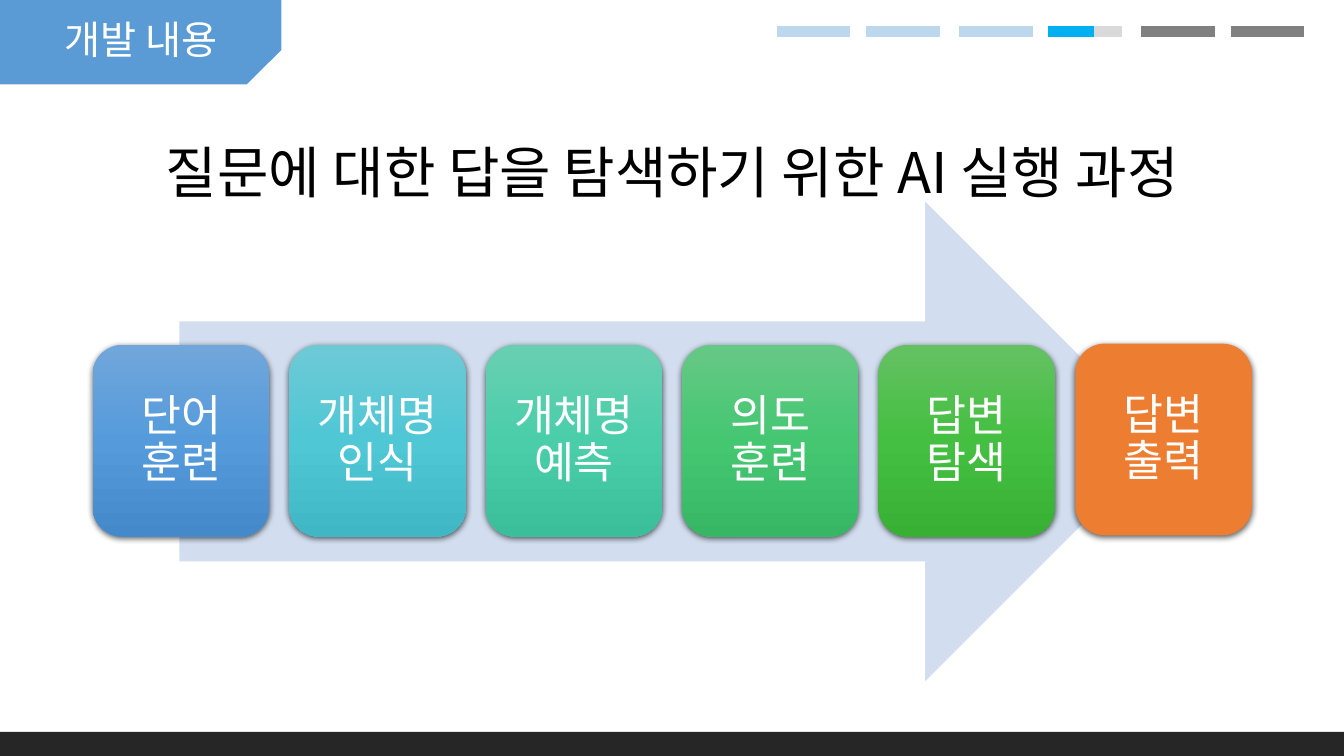
"""Build the slide on the AI steps that find an answer to a question."""
import copy

import lxml.etree
import pptx
import pptx.dml.color
import pptx.enum.shapes
import pptx.enum.text
import pptx.oxml.ns
import pptx.util

Cm = pptx.util.Cm
Pt = pptx.util.Pt
qn = pptx.oxml.ns.qn
SHAPES = pptx.enum.shapes.MSO_SHAPE
FONT = "Noto Sans CJK KR"
WHITE = "FFFFFF"
STEPS = [
    ("단어 훈련", ["71A6DB", "559BDB", "448ACA"]),
    ("개체명 인식", ["6DCAD5", "4FC7D5", "3FB7C4"]),
    ("개체명 예측", ["69CFB1", "4ACEAA", "3BBE9A"]),
    ("의도 훈련", ["66C885", "45C772", "37B764"]),
    ("답변 탐색", ["64C162", "44BF41", "37B034"]),
]
PROGRESS = ["BDD7EE", "BDD7EE", "BDD7EE", "D9D9D9", "808080", "808080"]


def rgb(value):
    """Return the colour for a hex string."""
    return pptx.dml.color.RGBColor.from_string(value)


def write(frame, text, size, color, spacing=None):
    """Put one centred paragraph into a text frame."""
    para = frame.paragraphs[0]
    para.text = text
    para.alignment = pptx.enum.text.PP_ALIGN.CENTER
    para.line_spacing = spacing
    para.font.size = Pt(size)
    para.font.color.rgb = rgb(color)
    para.font.name = FONT
    properties = para._p.pPr.find(qn("a:defRPr"))
    lxml.etree.SubElement(properties, qn("a:ea"), typeface=FONT)


def add_block(slide, kind, left, top, width, height, color):
    """Add a plain preset shape without outline or shadow."""
    block = slide.shapes.add_shape(kind, Cm(left), Cm(top), Cm(width), Cm(height))
    block.shadow.inherit = False
    block.line.fill.background()
    block.fill.solid()
    block.fill.fore_color.rgb = rgb(color)
    return block


def add_bar(slide, left, width, color):
    """Add one thick segment of the progress line."""
    bar = slide.shapes.add_connector(
        pptx.enum.shapes.MSO_CONNECTOR.STRAIGHT,
        Cm(left), Cm(0.79), Cm(left + width), Cm(0.79))
    bar.line.color.rgb = rgb(color)
    bar.line.width = Pt(8.25)
    lxml.etree.SubElement(bar.element.spPr, qn("a:effectLst"))


def add_shadow(shape):
    """Give a shape a soft shadow below it."""
    effects = shape.element.spPr.find(qn("a:effectLst"))
    shadow = lxml.etree.SubElement(
        effects, qn("a:outerShdw"), blurRad=str(Pt(4.5)), dist=str(Pt(1.5)),
        dir="5400000", algn="ctr", rotWithShape="0")
    black = lxml.etree.SubElement(shadow, qn("a:srgbClr"), val="000000")
    lxml.etree.SubElement(black, qn("a:alpha"), val="63000")


def fill_gradient(shape, colors):
    """Fill a shape from top to bottom with three colours."""
    shape.fill.gradient()
    shape.fill.gradient_angle = 270
    stops = shape.element.spPr.find(qn("a:gradFill")).find(qn("a:gsLst"))
    stops.insert(1, copy.deepcopy(stops[0]))
    for index, (stop, color) in enumerate(zip(shape.fill.gradient_stops, colors)):
        stop.position = index / 2
        stop.color.rgb = rgb(color)


def add_step(slide, left, top, text, color):
    """Add one rounded step tile with its label."""
    tile = add_block(slide, SHAPES.ROUNDED_RECTANGLE, left, top, 4.45, 4.83, color)
    add_shadow(tile)
    frame = tile.text_frame
    frame.word_wrap = True
    frame.vertical_anchor = pptx.enum.text.MSO_ANCHOR.MIDDLE
    frame.margin_left = frame.margin_right = Cm(0.33)
    frame.margin_top = frame.margin_bottom = Cm(0.33)
    write(frame, text, 31, WHITE, 0.9)
    return tile


def add_header(slide):
    """Add the section tab, the footer band and the progress line."""
    tab = add_block(slide, SHAPES.SNIP_1_RECTANGLE, 0, 0, 7.09, 2.13, "5B9BD5")
    tab.adjustments[0] = 0.408
    tab.element.spPr.find(qn("a:xfrm")).set("flipV", "1")
    add_block(slide, SHAPES.RECTANGLE, 0, 18.44, 33.87, 0.69, "262626")
    for index, color in enumerate(PROGRESS):
        pair, second = divmod(index, 2)
        add_bar(slide, 19.58 + 4.59 * pair + 2.25 * second, 1.85, color)
    add_bar(slide, 26.42, 1.14, "00B0F0")
    box = slide.shapes.add_textbox(Cm(0.41), Cm(0.25), Cm(6.3), Cm(1.45))
    box.text_frame.word_wrap = True
    write(box.text_frame, "개발 내용", 28, WHITE)


def add_title(slide):
    """Move and format the title placeholder."""
    title = slide.shapes.title
    title.left, title.top = Cm(2.34), Cm(2.84)
    title.width, title.height = Cm(29.21), Cm(3.15)
    frame = title.text_frame
    frame.word_wrap = True
    frame.auto_size = pptx.enum.text.MSO_AUTO_SIZE.NONE
    frame.vertical_anchor = pptx.enum.text.MSO_ANCHOR.MIDDLE
    write(frame, "질문에 대한 답을 탐색하기 위한 AI 실행 과정", 40, "000000", 0.9)


def add_process(slide):
    """Add the wide arrow and the row of steps on it."""
    add_block(slide, SHAPES.RIGHT_ARROW, 4.52, 5.08, 24.84, 12.09, "D2DEEF")
    for index, (text, colors) in enumerate(STEPS):
        tile = add_step(slide, 2.34 + 4.95 * index, 8.69, text, colors[1])
        fill_gradient(tile, colors)
    add_step(slide, 27.1, 8.66, "답변 출력", "ED7D31")


def main():
    """Build and save the deck."""
    deck = pptx.Presentation()
    deck.slide_width, deck.slide_height = Cm(33.87), Cm(19.05)
    slide = deck.slides.add_slide(deck.slide_layouts[5])
    add_header(slide)
    add_title(slide)
    add_process(slide)
    deck.save("out.pptx")


if __name__ == "__main__":
    main()
